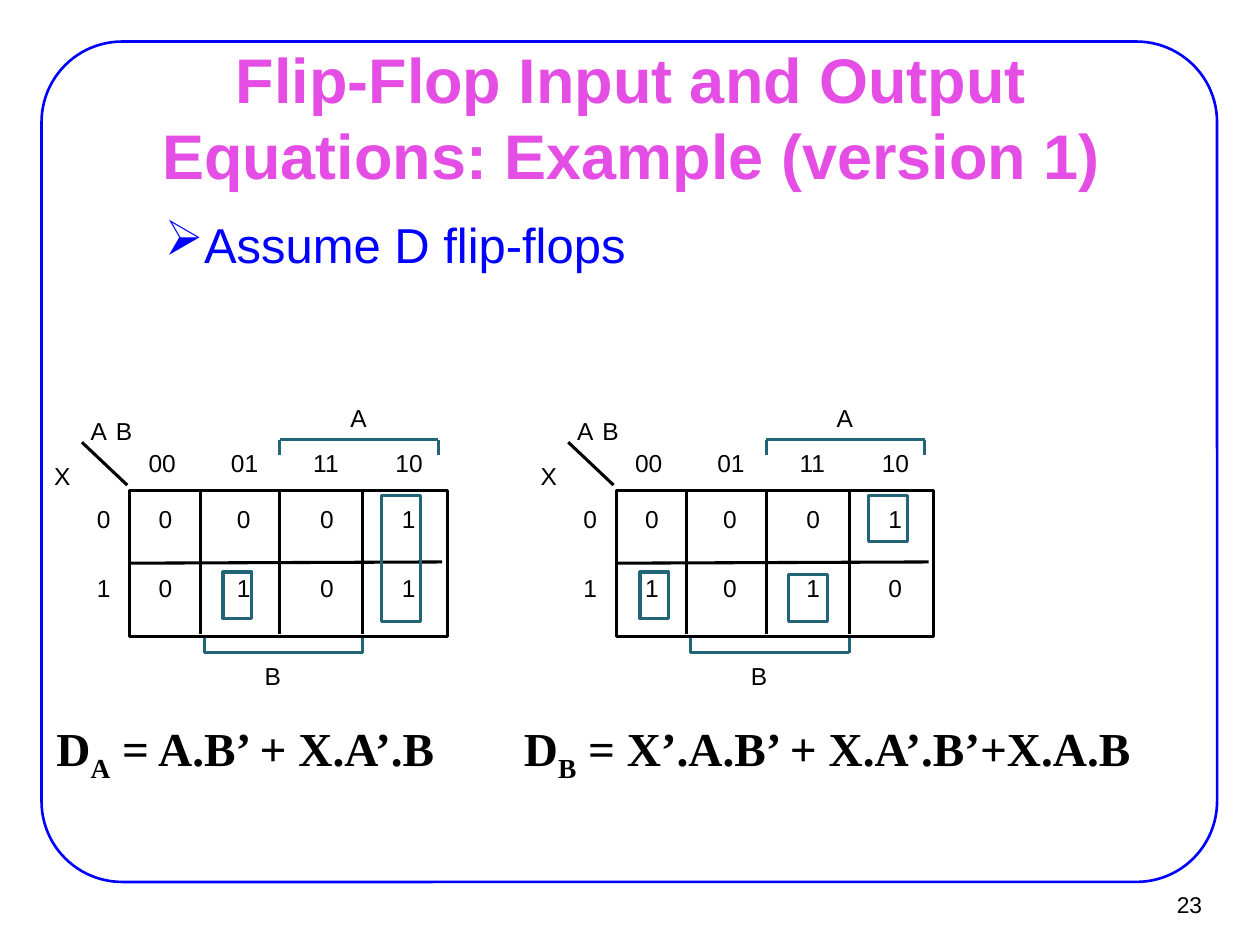
from lxml.etree import SubElement
from pptx import Presentation
from pptx.dml.color import RGBColor
from pptx.enum.shapes import MSO_CONNECTOR as Connector, MSO_SHAPE as Shape
from pptx.enum.text import MSO_ANCHOR as Anchor, PP_ALIGN as Align
from pptx.oxml.ns import qn
from pptx.util import Inches, Pt

BLACK = RGBColor(0x00, 0x00, 0x00)
BLUE = RGBColor(0x00, 0x00, 0xFF)
PINK = RGBColor(0xE4, 0x4E, 0xE4)
TEAL = RGBColor(0x22, 0x65, 0x77)

# The slide is a grid of 100 columns by 75 square rows.
SLIDE_WIDTH, SLIDE_HEIGHT = Inches(10), Inches(7.5)
CELL = SLIDE_WIDTH / 100

# Karnaugh map layout, in grid units from the corner of a map's box
DIVIDERS = (11.6, 17.9, 24.5)
VALUE_COLUMNS = (8.3, 14.5, 21.1, 27.6)
VALUE_ROWS = (8, 13.5)
HEADER_START, HEADER_STEP = 7.5, 6.53


def grid(*units):
    return [round(unit * CELL) for unit in units]


def format_text(shape, text, size=14, font="Arial", color=BLACK, bold=False,
                align=Align.LEFT, anchor=Anchor.TOP, margins=(0, 0), bullet=None):
    """Write text, a string or a list of (string, baseline) runs, into a shape."""
    frame = shape.text_frame
    frame.word_wrap = True
    frame.vertical_anchor = anchor
    frame.margin_left = frame.margin_right = Inches(margins[0])
    frame.margin_top = frame.margin_bottom = Inches(margins[1])
    paragraph = frame.paragraphs[0]
    paragraph.alignment = align
    if bullet:
        properties = paragraph._p.get_or_add_pPr()
        properties.set("marL", str(Inches(0.81)))
        properties.set("indent", str(Inches(-0.31)))
        SubElement(properties, qn("a:buChar")).set("char", bullet)
    for words, baseline in [(text, 0)] if isinstance(text, str) else text:
        run = paragraph.add_run()
        run.text = words
        run.font.size = Pt(size)
        run.font.name = font
        run.font.bold = bold
        run.font.color.rgb = color
        if baseline:
            run.font._element.set("baseline", str(baseline * 1000))


def add_text(shapes, box, text, **text_format):
    format_text(shapes.add_textbox(*grid(*box)), text, **text_format)


def add_outline(shapes, box, color, kind=Shape.RECTANGLE, width=1.75):
    shape = shapes.add_shape(kind, *grid(*box))
    shape.shadow.inherit = False
    shape.fill.background()
    shape.line.color.rgb = color
    shape.line.width = Pt(width)
    return shape


def add_line(shapes, start, end, color=BLACK):
    line = shapes.add_connector(Connector.STRAIGHT, *grid(*start, *end))
    line.line.color.rgb = color
    line.line.width = Pt(1.75)
    SubElement(line._element.spPr, qn("a:effectLst"))
    return line


def add_bracket(shapes, left, right, tip, base):
    """Draw a bracket whose arms run from the level of tip to that of base."""
    corners = [(left, tip), (left, base), (right, base), (right, tip)]
    for start, end in zip(corners, corners[1:]):
        add_line(shapes, start, end, TEAL)


def add_karnaugh_map(slide, box, values, rings):
    """Draw a two-by-four map in box; rings are outlines relative to the box."""
    left, top, width, height = box
    shapes = slide.shapes.add_group_shape().shapes

    def at(x, y):
        return left + x, top + y

    def label(x, y, text, text_width=1.8):
        add_text(shapes, (*at(x, y), text_width, 2.3), text)

    frame = add_outline(shapes, (*at(6, 6.9), width - 6, 11.6), BLACK)
    row_line = add_line(shapes, at(6, 12.7), at(30.8, 12.6))
    row_line.begin_connect(frame, 1)
    for x in DIVIDERS:
        add_line(shapes, at(x, 6.8), at(x, 18.3))
    add_line(shapes, at(5.8, 6.5), at(2.2, 3.1))

    add_bracket(shapes, left + 11.9, left + 24.5, top + 18.6, top + 19.8)
    add_bracket(shapes, left + 17.9, left + 30.5, top + 4.1, top + 2.9)

    label(2.9, 1, "A")
    label(4.9, 1, "B")
    label(0, 4.6, "X")
    label(23.5, 0, "A")
    label(16.7, height - 2.3, "B")
    for column, header in enumerate(("00", "01", "11", "10")):
        label(HEADER_START + column * HEADER_STEP, 3.6, header, 2.7)
    for row, (y, row_values) in enumerate(zip(VALUE_ROWS, values)):
        label(3.4, y, str(row), 1.6)
        for x, value in zip(VALUE_COLUMNS, row_values):
            label(x, y, value, 1.6)
    for x, y, ring_width, ring_height in rings:
        add_outline(shapes, (*at(x, y), ring_width, ring_height), TEAL)


def add_equation(slide, box, subscript, expression):
    add_text(slide.shapes, box, [("D", 0), (subscript, -25), (expression, 0)],
             size=27, font="Times New Roman", bold=True, margins=(0.1, 0.05))


def add_frame_and_number(slide, box, number):
    frame = add_outline(slide.shapes, box, BLUE, Shape.ROUNDED_RECTANGLE, 1.5)
    frame.adjustments[0] = 0.096
    add_text(slide.shapes, (90.2, 69.9, 6.1, 3.7), number, size=13,
             align=Align.RIGHT, anchor=Anchor.MIDDLE, margins=(0.09, 0.04))


def add_heading(slide, box):
    title = slide.shapes.title
    title.left, title.top, title.width, title.height = grid(*box)
    format_text(title, "Flip-Flop Input and Output Equations: Example (version 1)",
                size=36, color=PINK, bold=True, align=Align.CENTER,
                anchor=Anchor.MIDDLE, margins=(0.11, 0.06))


def main():
    presentation = Presentation()
    presentation.slide_width, presentation.slide_height = SLIDE_WIDTH, SLIDE_HEIGHT
    slide = presentation.slides.add_slide(presentation.slide_layouts[5])

    add_frame_and_number(slide, (3.3, 3.3, 93.3, 66.7), "23")
    add_heading(slide, (7.6, 6.8, 85, 4.9))
    add_text(slide.shapes, (7, 16.4, 88, 8.8), "Assume D flip-flops", size=28,
             color=BLUE, margins=(0.11, 0.06), bullet="➢")

    add_karnaugh_map(slide, (4.3, 32, 31.2, 22.8), ("0001", "0101"),
                     [(26, 7.3, 3.1, 10), (13.4, 13.4, 2.3, 3.7)])
    add_karnaugh_map(slide, (42.9, 32, 31.2, 22.8), ("0001", "1010"),
                     [(26, 7.3, 3.1, 3.7), (7.9, 13.4, 2.3, 3.7),
                      (19.7, 13.6, 3.1, 3.7)])
    add_equation(slide, (3.5, 56.6, 37, 5.5), "A", " = A.B’ + X.A’.B")
    add_equation(slide, (40.6, 56.6, 57.9, 5.5), "B", " = X’.A.B’ + X.A’.B’+X.A.B")

    presentation.save("out.pptx")


if __name__ == "__main__":
    main()
